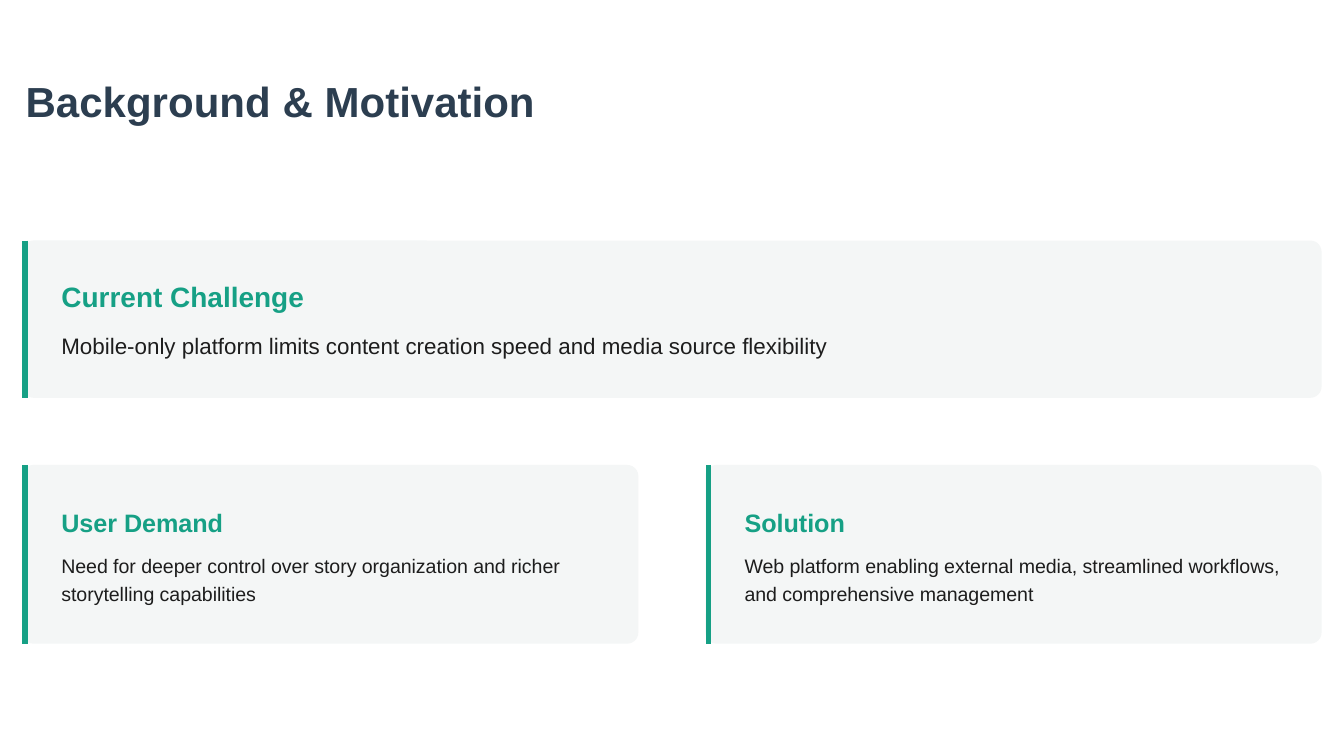
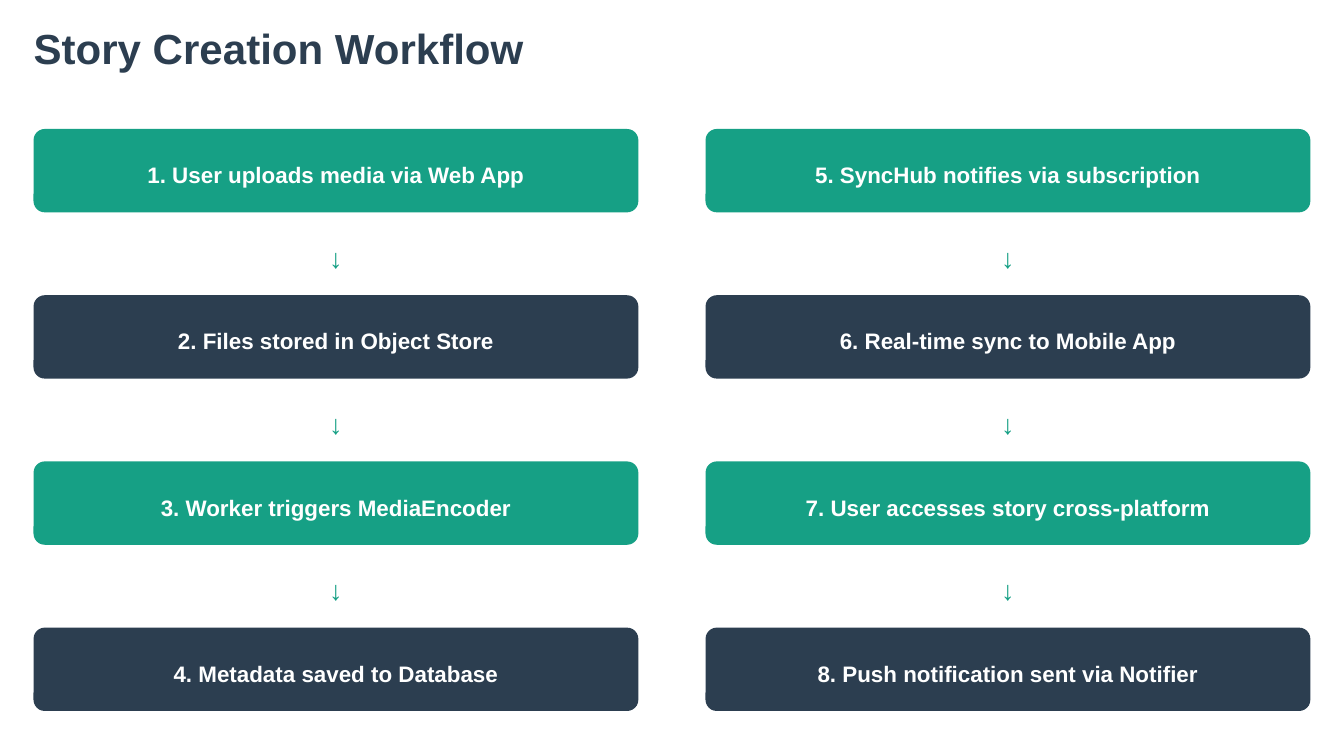
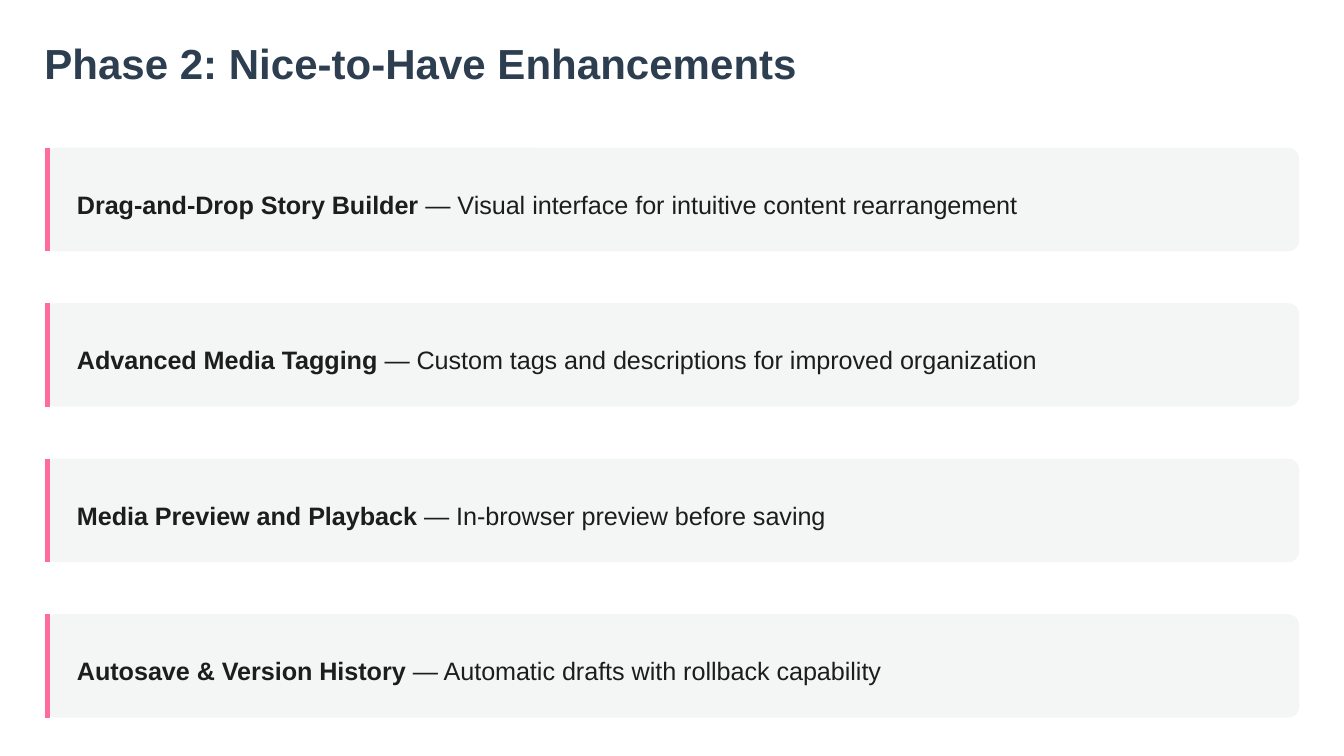
from lxml.etree import SubElement
from pptx import Presentation
from pptx.dml.color import RGBColor
from pptx.enum.shapes import MSO_CONNECTOR, MSO_SHAPE
from pptx.enum.text import MSO_ANCHOR, MSO_AUTO_SIZE, PP_ALIGN
from pptx.oxml.ns import qn
from pptx.util import Inches, Pt

FONT = "Arial"
COLORS = {
    "navy": "2C3E50",
    "teal": "16A085",
    "pink": "FF6B9D",
    "panel": "F4F6F6",
    "ink": "1D1D1D",
    "white": "FFFFFF",
}
SLIDE_W, SLIDE_H = 10, 5.625
COLUMN_GAP = 0.5
CORNER = 6 / 72
BAR_PT = 3

BACKGROUND = {
    "title": "Background & Motivation",
    "rows": [
        {"top": 1.79, "height": 1.17, "heading_pt": 15, "body_pt": 12, "spacing": 18,
         "cards": [("Current Challenge",
                    "Mobile-only platform limits content creation speed and media source flexibility")]},
        {"top": 3.46, "height": 1.33, "heading_pt": 13.5, "body_pt": 10.5, "spacing": 15,
         "cards": [("User Demand",
                    "Need for deeper control over story organization and richer storytelling capabilities"),
                   ("Solution",
                    "Web platform enabling external media, streamlined workflows, and comprehensive management")]},
    ],
}
WORKFLOW = {
    "title": "Story Creation Workflow",
    "columns": [
        ["User uploads media via Web App", "Files stored in Object Store",
         "Worker triggers MediaEncoder", "Metadata saved to Database"],
        ["SyncHub notifies via subscription", "Real-time sync to Mobile App",
         "User accesses story cross-platform", "Push notification sent via Notifier"],
    ],
}
ENHANCEMENTS = {
    "title": "Phase 2: Nice-to-Have Enhancements",
    "items": [
        ("Drag-and-Drop Story Builder", "Visual interface for intuitive content rearrangement"),
        ("Advanced Media Tagging", "Custom tags and descriptions for improved organization"),
        ("Media Preview and Playback", "In-browser preview before saving"),
        ("Autosave & Version History", "Automatic drafts with rollback capability"),
    ],
}


def rgb(name):
    return RGBColor.from_string(COLORS[name])


def spread(first, last, count):
    return [first + i * (last - first) / (count - 1) for i in range(count)]


def columns(margin, count):
    width = (SLIDE_W - 2 * margin - (count - 1) * COLUMN_GAP) / count
    return [margin + i * (width + COLUMN_GAP) for i in range(count)], width


def write(sp, runs, size, color, spacing, before=0, after=0, align=PP_ALIGN.LEFT, wrap=True):
    tf = sp.text_frame
    tf.margin_left = tf.margin_top = tf.margin_right = tf.margin_bottom = 0
    tf.auto_size = MSO_AUTO_SIZE.NONE
    tf.vertical_anchor = MSO_ANCHOR.TOP
    tf.word_wrap = wrap
    p = tf.paragraphs[0]
    p.alignment = align
    p.line_spacing = Pt(spacing)
    p.space_before, p.space_after = Pt(before), Pt(after)
    for text, bold in runs:
        r = p.add_run()
        r.text = text
        r.font.name, r.font.size, r.font.bold = FONT, Pt(size), bold
        r.font.color.rgb = rgb(color)


def add_text(s, box, runs, *style, **spacing):
    write(s.shapes.add_textbox(*map(Inches, box)), runs, *style, **spacing)


def add_titled_slide(prs, title, left, top):
    s = prs.slides.add_slide(prs.slide_layouts[5])
    s.background.fill.solid()
    s.background.fill.fore_color.rgb = rgb("white")
    sp = s.shapes.title
    sp.left, sp.top = Inches(left), Inches(top)
    sp.width, sp.height = Inches(SLIDE_W - 2 * left), Inches(0.38)
    write(sp, [(title, True)], 22.5, "navy", 27)
    return s


def add_panel(s, x, y, w, h, fill, bar=None):
    sp = s.shapes.add_shape(MSO_SHAPE.ROUNDED_RECTANGLE, *map(Inches, (x, y, w, h)))
    sp.adjustments[0] = CORNER / h
    sp.shadow.inherit = False
    sp.fill.solid()
    sp.fill.fore_color.rgb = rgb(fill)
    sp.line.fill.background()
    if bar:
        bar_x = x + BAR_PT / 72 / 2
        line = s.shapes.add_connector(MSO_CONNECTOR.STRAIGHT, *map(Inches, (bar_x, y, bar_x, y + h)))
        line.line.color.rgb = rgb(bar)
        line.line.width = Pt(BAR_PT)
        SubElement(line._element.spPr, qn("a:effectLst"))


def build_background(prs):
    s = add_titled_slide(prs, BACKGROUND["title"], 0.19, 0.56)
    for row in BACKGROUND["rows"]:
        y, h = row["top"], row["height"]
        lefts, w = columns(1 / 6, len(row["cards"]))
        for x, (heading, body) in zip(lefts, row["cards"]):
            add_panel(s, x, y, w, h, "panel", "teal")
            text_x, text_w = x + 0.29, w - 0.46
            add_text(s, (text_x, y + 0.25, text_w, 0.29), [(heading, True)],
                     row["heading_pt"], "teal", 21, after=6)
            add_text(s, (text_x, y + 0.63, text_w, h - 0.92), [(body, False)],
                     row["body_pt"], "ink", row["spacing"], before=3, after=3)


def build_workflow(prs):
    s = add_titled_slide(prs, WORKFLOW["title"], 0.25, 0.17)
    lefts, w = columns(0.25, len(WORKFLOW["columns"]))
    label_w, arrow_w = 2.75, 0.1
    centred = {"before": 3, "after": 3, "align": PP_ALIGN.CENTER, "wrap": False}
    number = 0
    for x, steps in zip(lefts, WORKFLOW["columns"]):
        center = x + w / 2
        for i, (y, step) in enumerate(zip(spread(0.96, 4.67, len(steps)), steps)):
            number += 1
            if i:
                add_text(s, (center - arrow_w / 2, y - 0.44, arrow_w, 0.28), [("↓", True)],
                         14.4, "teal", 20.2, **centred)
            add_panel(s, x, y, w, 0.62, ("teal", "navy")[i % 2])
            add_text(s, (center - label_w / 2, y + 0.19, label_w, 0.25),
                     [(f"{number}. {step}", True)], 12, "white", 18, **centred)


def build_enhancements(prs):
    s = add_titled_slide(prs, ENHANCEMENTS["title"], 0.33, 0.28)
    (x,), w = columns(1 / 3, 1)
    items = ENHANCEMENTS["items"]
    for y, (name, detail) in zip(spread(1.1, 4.57, len(items)), items):
        add_panel(s, x, y, w, 0.77, "panel", "pink")
        add_text(s, (x + 0.24, y + 0.24, w - 0.26, 0.29),
                 [(name, True), (f" — {detail}", False)], 13.5, "ink", 21, before=3, after=3)


def main():
    prs = Presentation()
    prs.slide_width, prs.slide_height = Inches(SLIDE_W), Inches(SLIDE_H)
    build_background(prs)
    build_workflow(prs)
    build_enhancements(prs)
    prs.save("out.pptx")


if __name__ == "__main__":
    main()
